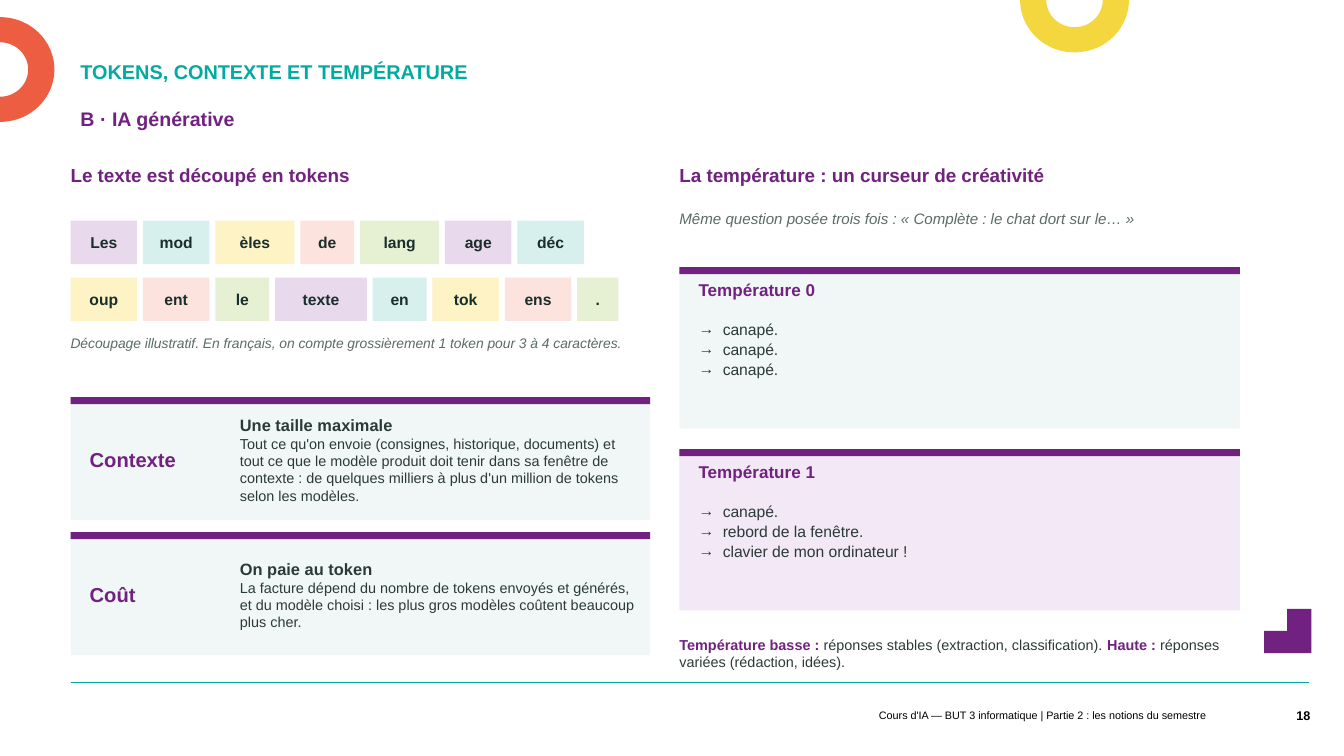
import math
import lxml.etree
import pptx
import pptx.dml.color
import pptx.enum.shapes
import pptx.enum.text
import pptx.oxml.ns
import pptx.util

colour = pptx.dml.color.RGBColor.from_string
qn = pptx.oxml.ns.qn
align = pptx.enum.text.PP_ALIGN
anchor = pptx.enum.text.MSO_ANCHOR
cell = pptx.util.Inches(0.1)

deck = pptx.Presentation()
deck.slide_width, deck.slide_height = int(133.33 * cell), 75 * cell
slide = deck.slides.add_slide(deck.slide_layouts[6])

PURPLE, TEAL, INK, GREY, MINT = "712180", "00ABA2", "2B3A38", "5A6B68", "F0F7F6"
LEFT, LEFT_WIDTH = 7, 57.5
RIGHT, RIGHT_WIDTH = 67.4, 55.6
PAD, BAR = 1.9, 0.7


def block(column, row, width, height, fill=None):
    spot = [round(length * cell) for length in (column, row, width, height)]
    if fill is None:
        return slide.shapes.add_textbox(*spot)
    shape = slide.shapes.add_shape(pptx.enum.shapes.MSO_SHAPE.RECTANGLE, *spot)
    shape.shadow.inherit = False
    shape.fill.solid()
    shape.fill.fore_color.rgb = colour(fill)
    shape.line.fill.background()
    return shape


def write(box, paragraphs, vertical=anchor.TOP, side=align.LEFT, inset=(0, 0, 0, 0)):
    frame = box.text_frame
    frame.word_wrap = True
    frame.vertical_anchor = vertical
    frame.margin_left, frame.margin_top, frame.margin_right, frame.margin_bottom = [
        round(gap * cell) for gap in inset]
    for number, runs in enumerate(paragraphs):
        paragraph = frame.paragraphs[0] if number == 0 else frame.add_paragraph()
        paragraph.alignment = side
        for text, size, ink, style in runs:
            run = paragraph.add_run()
            run.text = text
            run.font.name = "Arial"
            run.font.size = pptx.util.Pt(size)
            run.font.color.rgb = colour(ink)
            run.font.bold = style == "bold"
            run.font.italic = style == "italic"
    return frame


outlines = [([(127.7, 60.4), (130.1, 60.4), (130.1, 64.8),
              (125.4, 64.8), (125.4, 62.6), (127.7, 62.6)], PURPLE)]
for centre_x, centre_y, start, fill in [(106.6, 0, 0, "F4D73F"), (0, 6.9, -90, "ED5D42")]:
    arc = [math.radians(start + step) for step in range(0, 181, 5)]
    rim = [(5.4, 5.2, angle) for angle in arc] + [(2.8, 2.7, angle) for angle in reversed(arc)]
    outlines.append(([(centre_x + rx * math.cos(angle), centre_y + ry * math.sin(angle))
                      for rx, ry, angle in rim], fill))
for points, fill in outlines:
    corners = [(round(x * cell), round(y * cell)) for x, y in points]
    builder = slide.shapes.build_freeform(*corners[0])
    builder.add_line_segments(corners[1:], close=True)
    ornament = builder.convert_to_shape()
    ornament.shadow.inherit = False
    ornament.fill.solid()
    ornament.fill.fore_color.rgb = colour(fill)
    ornament.line.fill.background()

rule = slide.shapes.add_connector(
    pptx.enum.shapes.MSO_CONNECTOR.STRAIGHT,
    LEFT * cell, round(67.7 * cell), round(129.9 * cell), round(67.7 * cell))
rule.line.color.rgb = colour("00ABA1")
rule.line.width = pptx.util.Pt(0.5)
lxml.etree.SubElement(rule.element.spPr, qn("a:effectLst"))

title = write(block(LEFT, 5.4, 97.2, 3.4),
              [[("TOKENS, CONTEXTE ET TEMPÉRATURE", 14.2, TEAL, "bold")]],
              anchor.BOTTOM, inset=(1, 0.5, 1, 0.5))
title.paragraphs[0].line_spacing = pptx.util.Pt(16.7)
section = write(block(LEFT, 10.4, 97.2, 4.6), [[("B · IA générative", 14, PURPLE, "bold")]],
                inset=(1, 0.5, 1, 0.5))
section.paragraphs[0].line_spacing = 0.9
write(block(54.3, 69.8, 66.3, 2.3),
      [[("Cours d'IA — BUT 3 informatique | Partie 2 : les notions du semestre",
         7.7, "000000", "")]], anchor.MIDDLE, align.RIGHT, (1, 0.5, 1, 0.5))
write(block(124.5, 69, 5.5, 4), [[("18", 9, "000000", "bold")]],
      anchor.MIDDLE, align.RIGHT, (1, 0.5, 0, 0.5))

for column, row, width, text, size, ink, style in [
    (LEFT, 16.2, LEFT_WIDTH, "Le texte est découpé en tokens", 13.5, PURPLE, "bold"),
    (LEFT, 33.2, LEFT_WIDTH, "Découpage illustratif. En français, on compte grossièrement "
     "1 token pour 3 à 4 caractères.", 9.9, GREY, "italic"),
    (RIGHT, 16.2, RIGHT_WIDTH, "La température : un curseur de créativité", 13.5, PURPLE, "bold"),
    (RIGHT, 20.8, RIGHT_WIDTH, "Même question posée trois fois : « Complète : le chat dort "
     "sur le… »", 10.8, GREY, "italic"),
]:
    write(block(column, row, width, 4.1), [[(text, size, ink, style)]])

token_fills = ["E9D9EC", "D7F0EE", "FDF3C4", "FDE3DD", "E6F0D3"]
token_rows = ["Les mod èles de lang age déc".split(), "oup ent le texte en tok ens .".split()]
token_count = 0
for line, tokens in enumerate(token_rows):
    column = LEFT
    for token in tokens:
        width = 4.1 + 1.25 * (len(token) - 1)
        fill = token_fills[token_count % len(token_fills)]
        write(block(column, 21.9 + 5.65 * line, width, 4.3, fill),
              [[(token, 11.2, "1A2E2B", "bold")]], anchor.MIDDLE, align.CENTER)
        column += width + 0.58
        token_count += 1

notions = [
    ("Contexte", "Une taille maximale",
     "Tout ce qu'on envoie (consignes, historique, documents) et tout ce que le modèle produit "
     "doit tenir dans sa fenêtre de contexte : de quelques milliers à plus d'un million de "
     "tokens selon les modèles."),
    ("Coût", "On paie au token",
     "La facture dépend du nombre de tokens envoyés et générés, et du modèle choisi : les plus "
     "gros modèles coûtent beaucoup plus cher."),
]
for index, (notion, heading, detail) in enumerate(notions):
    row = 39.4 + 13.4 * index
    block(LEFT, row, LEFT_WIDTH, 12.2, MINT)
    block(LEFT, row, LEFT_WIDTH, BAR, PURPLE)
    write(block(LEFT + PAD, row + 1, 14.4, 10.3), [[(notion, 14.4, PURPLE, "bold")]],
          anchor.MIDDLE)
    write(block(23.8, row + 0.8, 39.3, 10.8),
          [[(heading, 11.7, INK, "bold")], [(detail, 10.3, INK, "")]], anchor.MIDDLE)

temperatures = [
    ("Température 0", MINT, ["canapé.", "canapé.", "canapé."]),
    ("Température 1", "F3E8F5", ["canapé.", "rebord de la fenêtre.", "clavier de mon ordinateur !"]),
]
for index, (heading, fill, answers) in enumerate(temperatures):
    row = 26.5 + 18.05 * index
    block(RIGHT, row, RIGHT_WIDTH, 16, fill)
    block(RIGHT, row, RIGHT_WIDTH, BAR, PURPLE)
    write(block(RIGHT + PAD, row + 1.2, RIGHT_WIDTH - 2 * PAD, 3.6),
          [[(heading, 12.2, PURPLE, "bold")]])
    replies = write(block(RIGHT + PAD, row + 5.2, RIGHT_WIDTH - 2 * PAD, 10.3),
                    [[(answer, 11.2, INK, "")] for answer in answers])
    for reply in replies.paragraphs:
        properties = reply._p.get_or_add_pPr()
        properties.set("marL", str(round(2.4 * cell)))
        properties.set("indent", str(round(-2.4 * cell)))
        lxml.etree.SubElement(properties, qn("a:buFont")).set("typeface", "Arial")
        lxml.etree.SubElement(properties, qn("a:buChar")).set("char", "→")
        reply.space_after = pptx.util.Pt(1)

write(block(RIGHT, 63.1, RIGHT_WIDTH, 4.1), [[
    ("Température basse : ", 10.3, PURPLE, "bold"),
    ("réponses stables (extraction, classification). ", 10.3, INK, ""),
    ("Haute : ", 10.3, PURPLE, "bold"),
    ("réponses variées (rédaction, idées).", 10.3, INK, ""),
]])

deck.save("out.pptx")
